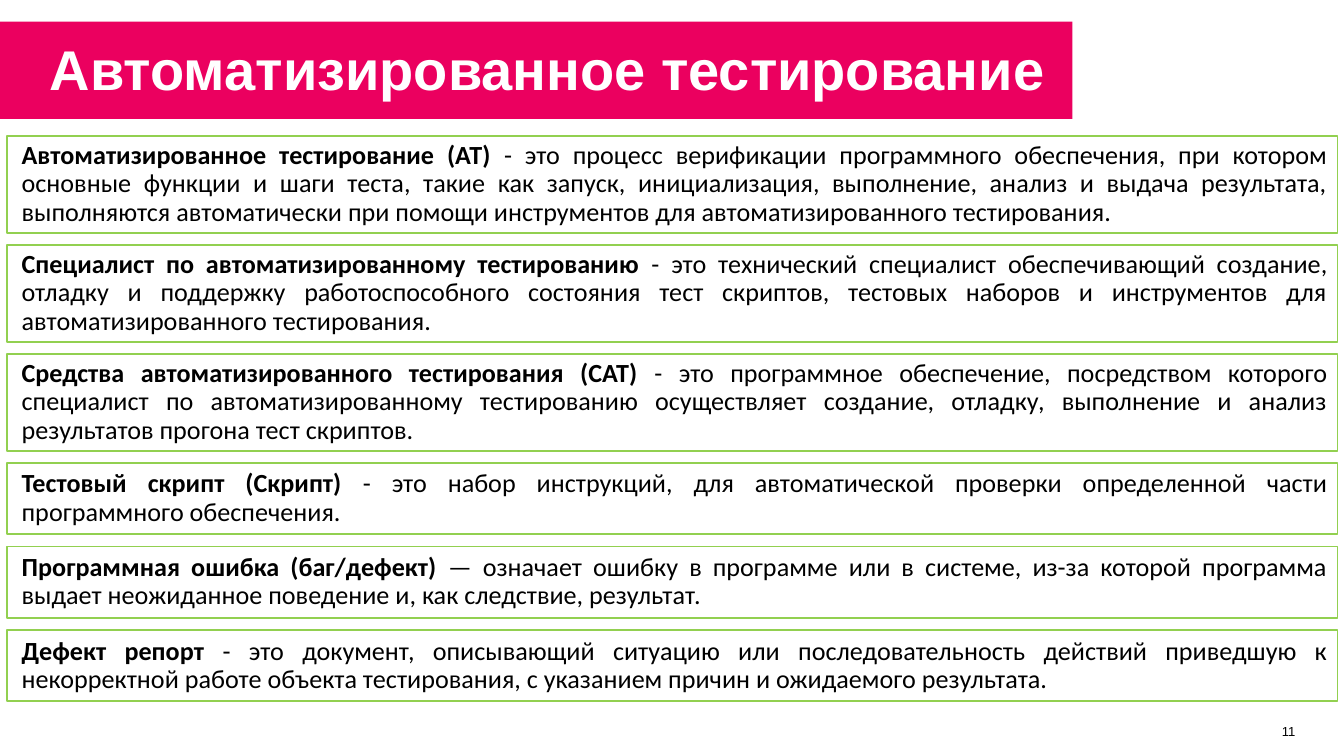
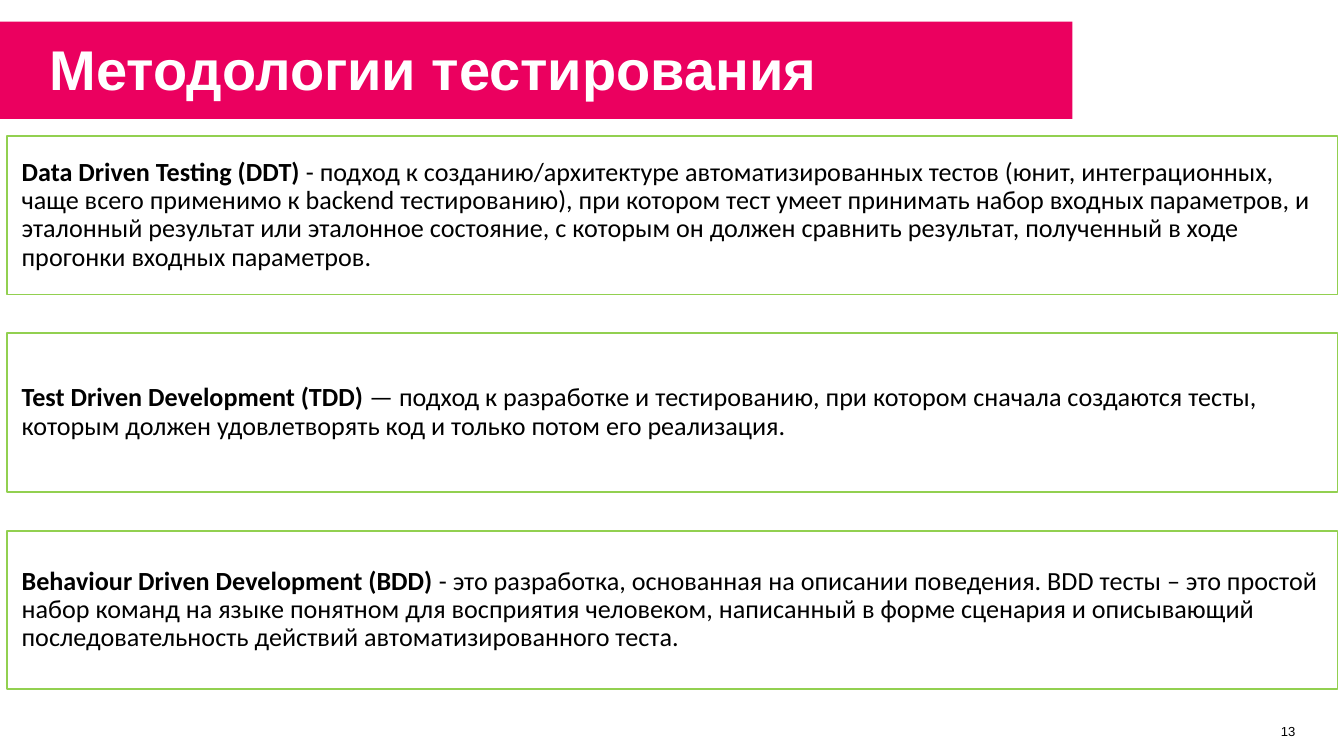
from pptx import Presentation
from pptx.dml.color import RGBColor
from pptx.enum.shapes import MSO_SHAPE
from pptx.enum.text import MSO_ANCHOR, MSO_AUTO_SIZE, PP_ALIGN
from pptx.util import Cm, Pt

RECTANGLE = MSO_SHAPE.RECTANGLE
MIDDLE = MSO_ANCHOR.MIDDLE
LEFT, RIGHT, JUSTIFY = PP_ALIGN.LEFT, PP_ALIGN.RIGHT, PP_ALIGN.JUSTIFY
FIXED, GROW = MSO_AUTO_SIZE.NONE, MSO_AUTO_SIZE.SHAPE_TO_FIT_TEXT

# Shared look
PINK, GREEN, WHITE, BLACK = "EB005F", "92D050", "FFFFFF", "000000"
TITLE_FONT, BODY_FONT = "Arial", "Calibri"
TITLE_ONLY = 5
BOX_LEFT, BOX_TOP, BOX_WIDTH = 0.13, 2.57, 25.15

# Content: (term, definition, box height in cm)
AUTOMATION_TERMS = [
    ("Автоматизированное тестирование (АТ) ",
     "- это процесс верификации программного обеспечения, при котором основные "
     "функции и шаги теста, такие как запуск, инициализация, выполнение, анализ и "
     "выдача результата, выполняются автоматически при помощи инструментов для "
     "автоматизированного тестирования.", 1.83),
    ("Специалист по автоматизированному тестированию ",
     "- это технический специалист обеспечивающий создание, отладку и поддержку "
     "работоспособного состояния тест скриптов, тестовых наборов и инструментов для "
     "автоматизированного тестирования.", 1.83),
    ("Средства автоматизированного тестирования (САТ) ",
     "- это программное обеспечение, посредством которого специалист по "
     "автоматизированному тестированию осуществляет создание, отладку, выполнение и "
     "анализ результатов прогона тест скриптов.", 1.83),
    ("Тестовый скрипт (Скрипт) ",
     "- это набор инструкций, для автоматической проверки определенной части "
     "программного обеспечения.", 1.35),
    ("Программная ошибка (баг/дефект) ",
     "— означает ошибку в программе или в системе, из-за которой программа выдает "
     "неожиданное поведение и, как следствие, результат.", 1.35),
    ("Дефект репорт ",
     "- это документ, описывающий ситуацию или последовательность действий приведшую "
     "к некорректной работе объекта тестирования, с указанием причин и ожидаемого "
     "результата.", 1.35),
]
METHODOLOGIES = [
    ("Data Driven Testing (DDT) ",
     "- подход к созданию/архитектуре автоматизированных тестов (юнит, "
     "интеграционных, чаще всего применимо к backend тестированию), при котором тест "
     "умеет принимать набор входных параметров, и эталонный результат или эталонное "
     "состояние, с которым он должен сравнить результат, полученный в ходе прогонки "
     "входных параметров.", 3),
    ("Test Driven Development (TDD) ",
     "— подход к разработке и тестированию, при котором сначала создаются тесты, "
     "которым должен удовлетворять код и только потом его реализация.", 3),
    ("Behaviour Driven Development (BDD) ",
     "- это разработка, основанная на описании поведения. BDD тесты – это простой "
     "набор команд на языке понятном для восприятия человеком, написанный в форме "
     "сценария и описывающий последовательность действий автоматизированного теста.", 3),
]


def color(value):
    return RGBColor.from_string(value)


def format_run(run, font_name, size, font_color, bold=False):
    run.font.name = font_name
    run.font.size = Pt(size)
    run.font.bold = bold
    run.font.color.rgb = color(font_color)


def set_frame(text_frame, horizontal, vertical, wrap=True, auto_size=FIXED):
    text_frame.margin_left = text_frame.margin_right = Cm(horizontal)
    text_frame.margin_top = text_frame.margin_bottom = Cm(vertical)
    text_frame.vertical_anchor = MIDDLE
    text_frame.word_wrap = wrap
    text_frame.auto_size = auto_size


def add_rectangle(slide, left, top, width, height, fill, line=None):
    shape = slide.shapes.add_shape(RECTANGLE, Cm(left), Cm(top), Cm(width), Cm(height))
    shape.shadow.inherit = False
    shape.fill.solid()
    shape.fill.fore_color.rgb = color(fill)
    if line:
        shape.line.color.rgb = color(line)
        shape.line.width = Pt(1)
    else:
        shape.line.fill.background()
    return shape


def add_title(slide, text):
    # The band goes behind the title placeholder
    band = add_rectangle(slide, 0, 0.41, 20.27, 1.84, PINK)
    title = slide.shapes.title
    title._element.addprevious(band._element)
    title.left, title.top, title.width, title.height = Cm(0.81), Cm(0), Cm(21.16), Cm(2.57)
    title.text_frame.text = text
    set_frame(title.text_frame, 0.13, 0.13)
    paragraph = title.text_frame.paragraphs[0]
    paragraph.alignment = LEFT
    format_run(paragraph.runs[0], TITLE_FONT, 30, WHITE, bold=True)


def add_slide_number(slide, number):
    box = slide.shapes.add_textbox(Cm(24.05), Cm(13.59), Cm(0.56), Cm(0.48))
    box.text_frame.text = number
    set_frame(box.text_frame, 0.13, 0.13, wrap=False, auto_size=GROW)
    paragraph = box.text_frame.paragraphs[0]
    paragraph.alignment = RIGHT
    format_run(paragraph.runs[0], TITLE_FONT, 7, BLACK)


def add_definition(slide, top, height, term, definition, alignment):
    box = add_rectangle(slide, BOX_LEFT, top, BOX_WIDTH, height, WHITE, GREEN)
    set_frame(box.text_frame, 0.18, 0.1)
    paragraph = box.text_frame.paragraphs[0]
    paragraph.alignment = alignment
    paragraph.line_spacing = 0.9
    paragraph.level = 1
    properties = paragraph._p.get_or_add_pPr()
    properties.set("marL", str(Cm(0.1)))
    properties.set("indent", "0")
    for text, bold in ((term, True), (definition, False)):
        run = paragraph.add_run()
        run.text = text
        format_run(run, BODY_FONT, 14, BLACK, bold)


def add_definition_slide(presentation, title, number, definitions, gap, alignment):
    slide = presentation.slides.add_slide(presentation.slide_layouts[TITLE_ONLY])
    add_slide_number(slide, number)
    add_title(slide, title)
    top = BOX_TOP
    for term, definition, height in definitions:
        add_definition(slide, top, height, term, definition, alignment)
        top += height + gap


def main():
    presentation = Presentation()
    presentation.slide_width = Cm(25.4)
    presentation.slide_height = Cm(14.29)
    add_definition_slide(presentation, "Автоматизированное тестирование", "11",
                         AUTOMATION_TERMS, 0.23, JUSTIFY)
    add_definition_slide(presentation, "Методологии тестирования", "13",
                         METHODOLOGIES, 0.73, LEFT)
    presentation.save("out.pptx")


if __name__ == "__main__":
    main()
